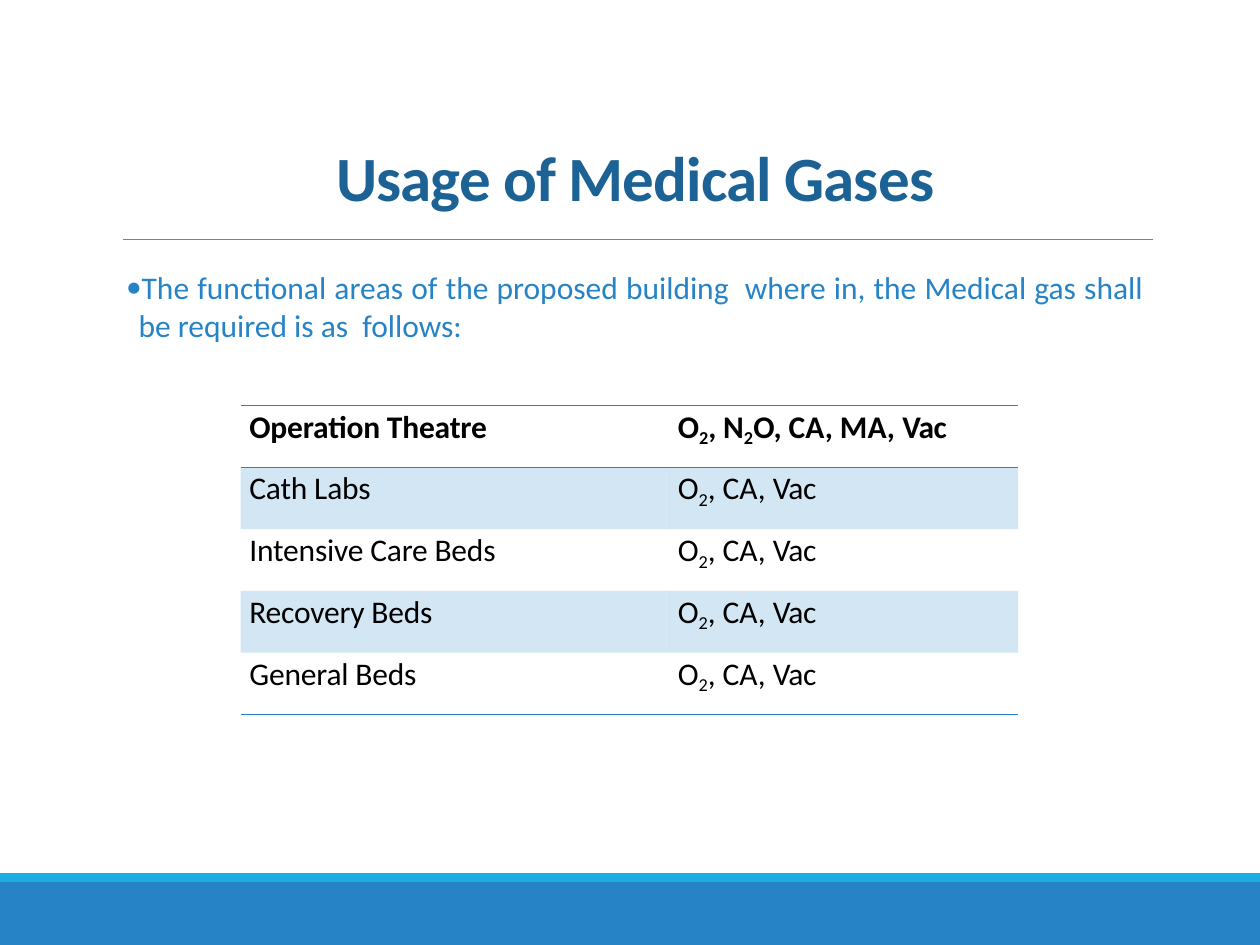
"""Build the slide on the usage of medical gases by functional area."""
from lxml import etree
from pptx import Presentation
from pptx.dml.color import RGBColor
from pptx.enum.shapes import MSO_CONNECTOR, MSO_SHAPE
from pptx.enum.text import MSO_ANCHOR, PP_ALIGN
from pptx.oxml.ns import qn
from pptx.util import Inches, Pt

RECTANGLE, STRAIGHT = MSO_SHAPE.RECTANGLE, MSO_CONNECTOR.STRAIGHT
TOP, MIDDLE = MSO_ANCHOR.TOP, MSO_ANCHOR.MIDDLE
CENTER, JUSTIFY = PP_ALIGN.CENTER, PP_ALIGN.JUSTIFY
BLUE = RGBColor(0x26, 0x83, 0xC6)
SKY = RGBColor(0x1C, 0xAD, 0xE4)
NAVY = RGBColor(0x1D, 0x62, 0x94)
GREY = RGBColor(0x80, 0x80, 0x80)
BLACK = RGBColor(0, 0, 0)
NO_TABLE_STYLE = "{2D5ABB26-0587-4C30-8999-92F81FD0307C}"
LEFT, WIDTH = Inches(1), Inches(8.08)
COLUMNS = (3.4, 2.77)
ROW_HEIGHT = 0.49
WARD_GASES = ("O", "2", ", ", "CA, ", "Vac")
USAGE = (
    ("Operation Theatre", ("O", "2", ", N", "2", "O, ", "CA, MA, ", "Vac")),
    ("Cath Labs", WARD_GASES),
    ("Intensive Care Beds", WARD_GASES),
    ("Recovery Beds", WARD_GASES),
    ("General Beds", WARD_GASES),
)


def add_span(para, text, size, color, bold=False, spacing=0):
    span = para.add_run()
    span.text = text
    span.font.name, span.font.size, span.font.bold = "Calibri", Pt(size), bold
    span.font.color.rgb = color
    properties = span.font._element
    if spacing:
        properties.set("spc", str(round(spacing * 100)))
    if text == "2":
        properties.set("baseline", "-21000")


def add_border(cell, side, position):
    line = etree.Element(qn(f"a:{side}"), w=str(Pt(1)))
    fill = etree.SubElement(line, qn("a:solidFill"))
    etree.SubElement(fill, qn("a:srgbClr"), val=str(BLUE))
    cell._tc.get_or_add_tcPr().insert(position, line)


deck = Presentation()
deck.slide_width, deck.slide_height = Inches(10), Inches(7.5)
page = deck.slides.add_slide(deck.slide_layouts[5])

for top, height, color in ((7, 0.5, BLUE), (6.93, 0.07, SKY)):
    band = page.shapes.add_shape(RECTANGLE, 0, Inches(top), deck.slide_width, Inches(height))
    band.shadow.inherit = False
    band.fill.solid()
    band.fill.fore_color.rgb = color
    band.line.fill.background()

rule = page.shapes.add_connector(STRAIGHT, Inches(0.98), Inches(1.9), Inches(9.15), Inches(1.9))
rule.line.color.rgb = GREY
rule.line.width = Pt(0.5)
etree.SubElement(rule._element.spPr, qn("a:effectLst"))

title = page.shapes.title
title.left, title.top, title.width, title.height = LEFT, Inches(1), WIDTH, Inches(0.9)
title.text_frame.vertical_anchor = MIDDLE
para = title.text_frame.paragraphs[0]
para.alignment, para.line_spacing = CENTER, 0.85
add_span(para, "Usage of Medical Gases", 36, NAVY, bold=True, spacing=-0.5)

box = page.shapes.add_textbox(LEFT, Inches(2.08), WIDTH, Inches(0.75))
frame = box.text_frame
frame.word_wrap = True
frame.margin_left = frame.margin_right = 0
para = frame.paragraphs[0]
para.alignment = JUSTIFY
para.space_after = Pt(2)
layout = para._p.get_or_add_pPr()
layout.set("marL", str(Inches(0.1)))
layout.set("indent", str(-Inches(0.1)))
bullet_color = etree.SubElement(layout, qn("a:buClr"))
etree.SubElement(bullet_color, qn("a:srgbClr"), val=str(BLUE))
etree.SubElement(layout, qn("a:buFont"), typeface="Calibri")
etree.SubElement(layout, qn("a:buChar"), char="•")
add_span(para, "The functional areas of the proposed building  where in, the Medical gas shall "
         "be required is as  follows:", 18, BLUE)

table = page.shapes.add_table(
    len(USAGE), len(COLUMNS), Inches(1.91), Inches(3.22),
    Inches(sum(COLUMNS)), Inches(ROW_HEIGHT * len(USAGE))).table
table._tbl.tblPr.find(qn("a:tableStyleId")).text = NO_TABLE_STYLE
for column, width in zip(table.columns, COLUMNS):
    column.width = Inches(width)

for row, (area, gases) in enumerate(USAGE):
    table.rows[row].height = Inches(ROW_HEIGHT)
    for column, texts in enumerate(((area,), gases)):
        cell = table.cell(row, column)
        cell.margin_left, cell.margin_top = Inches(0.07), Inches(0.02)
        cell.margin_right = cell.margin_bottom = 0
        cell.vertical_anchor = TOP
        if row % 2:
            cell.fill.solid()
            cell.fill.fore_color.rgb = BLUE
            shade = cell._tc.tcPr.find(f".//{qn('a:srgbClr')}")
            etree.SubElement(shade, qn("a:alpha"), val="20000")
        else:
            cell.fill.background()
        if row == 0:
            add_border(cell, "lnT", 0)
            add_border(cell, "lnB", 1)
        elif row == len(USAGE) - 1:
            add_border(cell, "lnB", 0)
        para = cell.text_frame.paragraphs[0]
        for text in texts:
            spacing = {"CA, ": 0, "CA, MA, ": 0, "Vac": -0.3}.get(text, -0.1)
            add_span(para, text, 18, BLACK, bold=row == 0, spacing=spacing)

deck.save("out.pptx")
